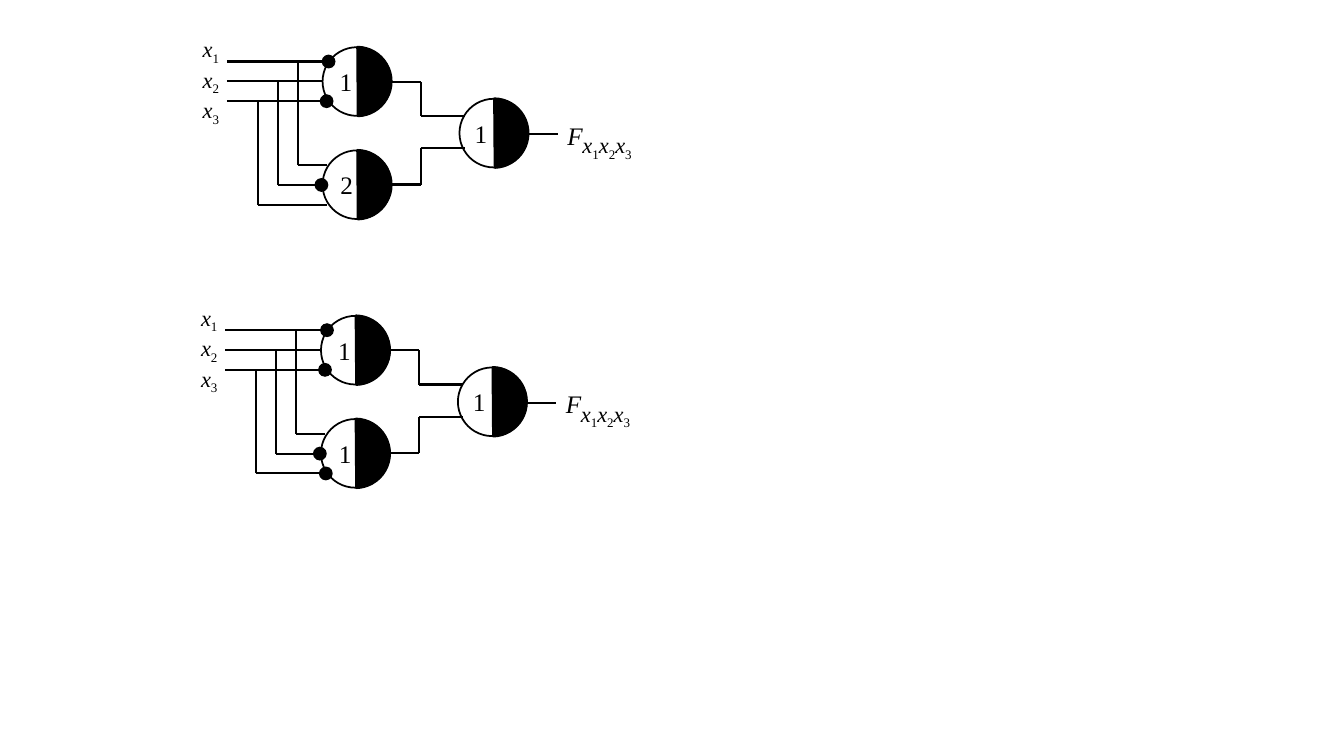
from lxml import etree
from pptx import Presentation
from pptx.dml.color import RGBColor
from pptx.enum.shapes import MSO_CONNECTOR, MSO_SHAPE
from pptx.enum.text import MSO_ANCHOR, PP_ALIGN
from pptx.oxml.ns import qn
from pptx.util import Cm, Pt

STRAIGHT = MSO_CONNECTOR.STRAIGHT
CHORD, OVAL = MSO_SHAPE.CHORD, MSO_SHAPE.OVAL
TOP, MIDDLE = MSO_ANCHOR.TOP, MSO_ANCHOR.MIDDLE
LEFT, RIGHT = PP_ALIGN.LEFT, PP_ALIGN.RIGHT
FONT, BLACK = "Times New Roman", "000000"

# Lengths in cm. Each circuit: offset, lower gate threshold, inverted lower inputs.
CIRCUITS = [
    {"offset": (0, 0), "threshold": "1 2 1", "inverted": (False, True, False)},
    {"offset": (-0.04, 6.77), "threshold": "1 1 1", "inverted": (False, True, True)},
]
# Gates: left, top, inset of the threshold text
GATES = [(8.13, 1.19, 0.18), (8.13, 3.79, 0.2), (11.58, 2.49, 0.13)]
DIAMETER = 1.73
INDICES = "123"

INPUT_X, INPUT_Y, LOWER_Y, TAP_X, PITCH = 5.72, 1.55, 4.16, 7.5, 0.5
UPPER_ENDS, LOWER_ENDS = (8.28, 8.13, 8.23), (8.23, 8.1, 8.25)
UPPER_INVERTED = (True, False, True)
JOIN_X, JOIN_END = 10.6, 11.71
JOINS = [(2.06, 2.92), (4.65, 3.73)]  # gate output y, final gate input y
OUTPUT = (13.31, 3.38, 14.05, 3.38)


def rgb(value):
    """Return a colour from a hex string."""
    return RGBColor.from_string(value)


def add_text(shapes, box, paragraphs, size, align=LEFT, anchor=TOP, wrap=True):
    """Add a text box; each paragraph is a list of (text, italic, subscript)."""
    tf = shapes.add_textbox(*map(Cm, box)).text_frame
    tf.word_wrap, tf.vertical_anchor = wrap, anchor
    for i, runs in enumerate(paragraphs):
        p = tf.add_paragraph() if i else tf.paragraphs[0]
        p.alignment = align
        p.font.name, p.font.size = FONT, Pt(size)
        p.font.color.rgb = rgb(BLACK)
        for text, italic, subscript in runs:
            r = p.add_run()
            r.text, r.font.italic = text, italic
            r.font.name, r.font.size = FONT, Pt(size)
            if subscript:
                r._r.get_or_add_rPr().set("baseline", "-25000")


def add_wire(shapes, x1, y1, x2, y2, inverted=False):
    """Add a wire, ending in a dot when the input is inverted."""
    wire = shapes.add_connector(STRAIGHT, *map(Cm, (x1, y1, x2, y2)))
    wire.line.width, wire.line.color.rgb = Pt(1.5), rgb(BLACK)
    if inverted:
        etree.SubElement(wire.line._get_or_add_ln(), qn("a:tailEnd"),
                         type="oval", w="lg", len="lg")
    etree.SubElement(wire._element.spPr, qn("a:effectLst"))


def add_gate(shapes, x, y, inset, threshold):
    """Add a round gate with its threshold and a black right half."""
    add_text(shapes, (x + inset, y, DIAMETER / 2, DIAMETER),
             [[(threshold, False, False)]], 18, anchor=MIDDLE)
    for kind, width in ((CHORD, 2), (OVAL, 1.25)):
        sp = shapes.add_shape(kind, Cm(x), Cm(y), Cm(DIAMETER), Cm(DIAMETER))
        sp.shadow.inherit = False
        sp.line.width, sp.line.color.rgb = Pt(width), rgb(BLACK)
        if kind == CHORD:
            sp.adjustments[0], sp.adjustments[1] = 162.78, 52.72
            sp.fill.solid()
            sp.fill.fore_color.rgb = rgb(BLACK)
        else:
            sp.fill.background()


def add_circuit(slide, offset, threshold, inverted):
    """Add one grouped circuit and shift it by its offset."""
    group = slide.shapes.add_group_shape()
    shapes = group.shapes
    for gate, value in zip(GATES, threshold.split()):
        add_gate(shapes, *gate, value)

    for i in range(len(INDICES)):
        upper, lower = INPUT_Y + i * PITCH, LOWER_Y + i * PITCH
        tap = TAP_X - i * PITCH
        add_wire(shapes, INPUT_X, upper, UPPER_ENDS[i], upper, UPPER_INVERTED[i])
        add_wire(shapes, tap, lower, tap, upper)
        add_wire(shapes, tap, lower, LOWER_ENDS[i], lower, inverted[i])

    for start, end in JOINS:
        add_wire(shapes, GATES[0][0] + DIAMETER, start, JOIN_X, start)
        add_wire(shapes, JOIN_X, start, JOIN_X, end)
        add_wire(shapes, JOIN_X, end, JOIN_END, end)
    add_wire(shapes, *OUTPUT)

    names = [[("x", True, False), (n, False, True)] for n in INDICES]
    add_text(shapes, (4.78, 0.76, 0.99, 2.39), names, 16, RIGHT)
    add_text(shapes, (14.05, 2.9, 0.91, 1.02), [[("F", True, False)]], 18, wrap=False)
    add_text(shapes, (14.43, 3.18, 2.01, 0.94), [sum(names, [])], 16)
    group.left += Cm(offset[0])
    group.top += Cm(offset[1])


prs = Presentation()
prs.slide_width, prs.slide_height = Cm(33.87), Cm(19.05)
slide = prs.slides.add_slide(prs.slide_layouts[6])
for circuit in CIRCUITS:
    add_circuit(slide, **circuit)
prs.save("out.pptx")
